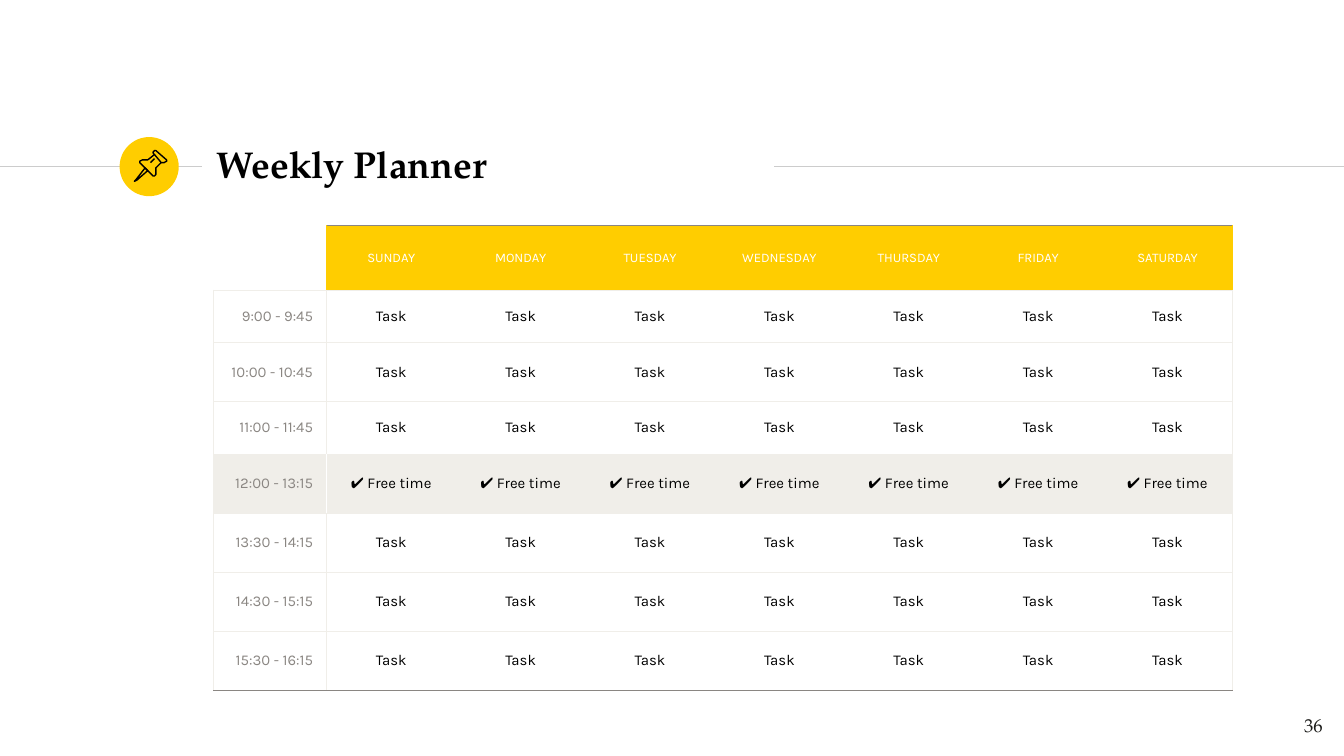
import pptx
import pptx.dml.color
import pptx.enum.shapes
import pptx.enum.text
import pptx.oxml
import pptx.oxml.ns
import pptx.util

Inches = pptx.util.Inches
ALIGN = pptx.enum.text.PP_ALIGN
MIDDLE = pptx.enum.text.MSO_ANCHOR.MIDDLE

# Content
TITLE = "Weekly Planner"
PAGE_NUMBER = "36"
DAYS = ["SUNDAY", "MONDAY", "TUESDAY", "WEDNESDAY", "THURSDAY", "FRIDAY", "SATURDAY"]
TASK, FREE = "Task", "✔ Free time"
SLOTS = [  # hours, activity, row height
    ("9:00 - 9:45", TASK, 0.39),
    ("10:00 - 10:45", TASK, 0.44),
    ("11:00 - 11:45", TASK, 0.39),
    ("12:00 - 13:15", FREE, 0.44),
    ("13:30 - 14:15", TASK, 0.44),
    ("14:30 - 15:15", TASK, 0.44),
    ("15:30 - 16:15", TASK, 0.44),
]
# Pushpin outlines in hundredths of an inch: points, closed
PIN = [
    ([(108, 125), (101, 134), (100, 135), (102, 134), (110, 127)], True),
    ([(115, 115), (120, 121), (122, 121), (124, 120), (124, 119),
      (116, 112), (115, 112), (114, 113), (114, 114)], True),
    ([(115, 115), (110, 119), (108, 119), (106, 119), (104, 120), (104, 121), (114, 131),
      (115, 131), (116, 130), (116, 128), (116, 125), (120, 121)], False),
    ([(112, 121), (115, 118)], False),
]

# Style and layout
SERIF, SANS = "TeX Gyre Pagella", "Karla"
YELLOW, GREY, PALE, WHITE, BLACK = "FFCD00", "8A8682", "F0EEE9", "FFFFFF", "000000"
WIDTH = 10
HEIGHT = WIDTH * 9 / 16
RULE_Y = 1.24
TABLE_LEFT, TABLE_TOP, TABLE_RIGHT = 1.59, 1.68, 9.17
HOURS_WIDTH, HEADER_HEIGHT = 0.84, 0.48
DAY_WIDTH = (TABLE_RIGHT - TABLE_LEFT - HOURS_WIDTH) / len(DAYS)


def color(value):
    return pptx.dml.color.RGBColor.from_string(value)


def style_text(frame, font, size, hue, align, bold=False):
    frame.margin_left = frame.margin_right = Inches(0.1)
    frame.margin_top = frame.margin_bottom = Inches(0.1)
    frame.word_wrap = True
    para = frame.paragraphs[0]
    para.alignment = align
    for span in para.runs:
        span.font.name, span.font.size, span.font.bold = font, pptx.util.Pt(size), bold
        span.font.color.rgb = color(hue)


def add_rule(slide, start, end):
    rule = slide.shapes.add_connector(
        pptx.enum.shapes.MSO_CONNECTOR.STRAIGHT,
        Inches(start), Inches(RULE_Y), Inches(end), Inches(RULE_Y))
    rule.line.color.rgb = color("CCCCCC")
    rule.line.width = pptx.util.Pt(0.75)
    rule._element.spPr.append(pptx.oxml.parse_xml(
        "<a:effectLst %s/>" % pptx.oxml.ns.nsdecls("a")))


def set_borders(cell, left, right, top, bottom):
    """Draw each side in its colour; None leaves a side bare."""
    properties = cell._tc.get_or_add_tcPr()
    for place, (side, hue) in enumerate(zip("LRTB", (left, right, top, bottom))):
        fill = f'<a:solidFill><a:srgbClr val="{hue}"/></a:solidFill>' if hue else "<a:noFill/>"
        properties.insert(place, pptx.oxml.parse_xml(
            f'<a:ln{side} {pptx.oxml.ns.nsdecls("a")} w="9525">{fill}</a:ln{side}>'))


def fill_cell(cell, text, size, hue, align, fill):
    cell.text_frame.text = text
    style_text(cell.text_frame, SANS, size, hue, align)
    margin = Inches(0.1 if text else 0.05)
    cell.margin_left = cell.margin_right = cell.margin_top = cell.margin_bottom = margin
    cell.vertical_anchor = MIDDLE
    if fill:
        cell.fill.solid()
        cell.fill.fore_color.rgb = color(fill)
    else:
        cell.fill.background()


def add_planner(slide):
    heights = [HEADER_HEIGHT] + [height for _, _, height in SLOTS]
    widths = [HOURS_WIDTH] + [DAY_WIDTH] * len(DAYS)
    table = slide.shapes.add_table(
        len(heights), len(widths), Inches(TABLE_LEFT), Inches(TABLE_TOP),
        Inches(sum(widths)), Inches(sum(heights))).table
    table.first_row = table.horz_banding = False
    for column, width in zip(table.columns, widths):
        column.width = Inches(width)
    for row, height in zip(table.rows, heights):
        row.height = Inches(height)

    # Header row
    last = len(DAYS)
    for col, day in enumerate([""] + DAYS):
        cell = table.cell(0, col)
        fill_cell(cell, day, 7, WHITE, ALIGN.CENTER, YELLOW if day else None)
        set_borders(cell, YELLOW if col == 1 else None, YELLOW if col in (0, last) else None,
                    GREY if day else None, PALE)

    # Time slots
    for row, (hours, activity, _) in enumerate(SLOTS, start=1):
        fill = PALE if activity == FREE else None
        divider = WHITE if activity == FREE else PALE
        bottom = GREY if row == len(SLOTS) else PALE
        for col in range(last + 1):
            cell = table.cell(row, col)
            if col == 0:
                fill_cell(cell, hours, 8, GREY, ALIGN.RIGHT, fill)
            else:
                fill_cell(cell, activity, 8, BLACK, ALIGN.CENTER, fill)
            left = {0: PALE, 1: divider}.get(col)
            right = {0: divider, last: PALE}.get(col)
            set_borders(cell, left, right, PALE, bottom)


def add_pin(slide):
    group = slide.shapes.add_group_shape()
    for points, closed in PIN:
        builder = group.shapes.build_freeform(*points[0], scale=Inches(0.01))
        builder.add_line_segments(points[1:], close=closed)
        outline = builder.convert_to_shape()
        outline.shadow.inherit = False
        outline.fill.background()
        outline.line.color.rgb = color(BLACK)
        outline.line.width = pptx.util.Pt(0.75)


def main():
    deck = pptx.Presentation()
    deck.slide_width, deck.slide_height = Inches(WIDTH), Inches(HEIGHT)
    slide = deck.slides.add_slide(deck.slide_layouts[5])

    # Rules and badge
    add_rule(slide, 0, 1.5)
    add_rule(slide, 5.76, WIDTH)
    badge = slide.shapes.add_shape(
        pptx.enum.shapes.MSO_SHAPE.OVAL,
        Inches(0.89), Inches(1.02), Inches(0.44), Inches(0.44))
    badge.shadow.inherit = False
    badge.fill.solid()
    badge.fill.fore_color.rgb = color(YELLOW)
    badge.line.fill.background()

    # Title
    title = slide.shapes.title
    title.left, title.top = Inches(1.51), Inches(0.98)
    title.width, title.height = Inches(4.24), Inches(0.48)
    title.text_frame.text = TITLE
    title.text_frame.vertical_anchor = MIDDLE
    style_text(title.text_frame, SERIF, 20, BLACK, ALIGN.LEFT, bold=True)

    # Page number
    number = slide.shapes.add_textbox(Inches(9.34), Inches(5.19), Inches(0.6), Inches(0.43))
    number.text_frame.text = PAGE_NUMBER
    style_text(number.text_frame, SERIF, 10, "1D1D1B", ALIGN.RIGHT)
    number.text_frame.paragraphs[0].line_spacing = 1.15

    add_planner(slide)
    add_pin(slide)
    deck.save("out.pptx")


if __name__ == "__main__":
    main()
